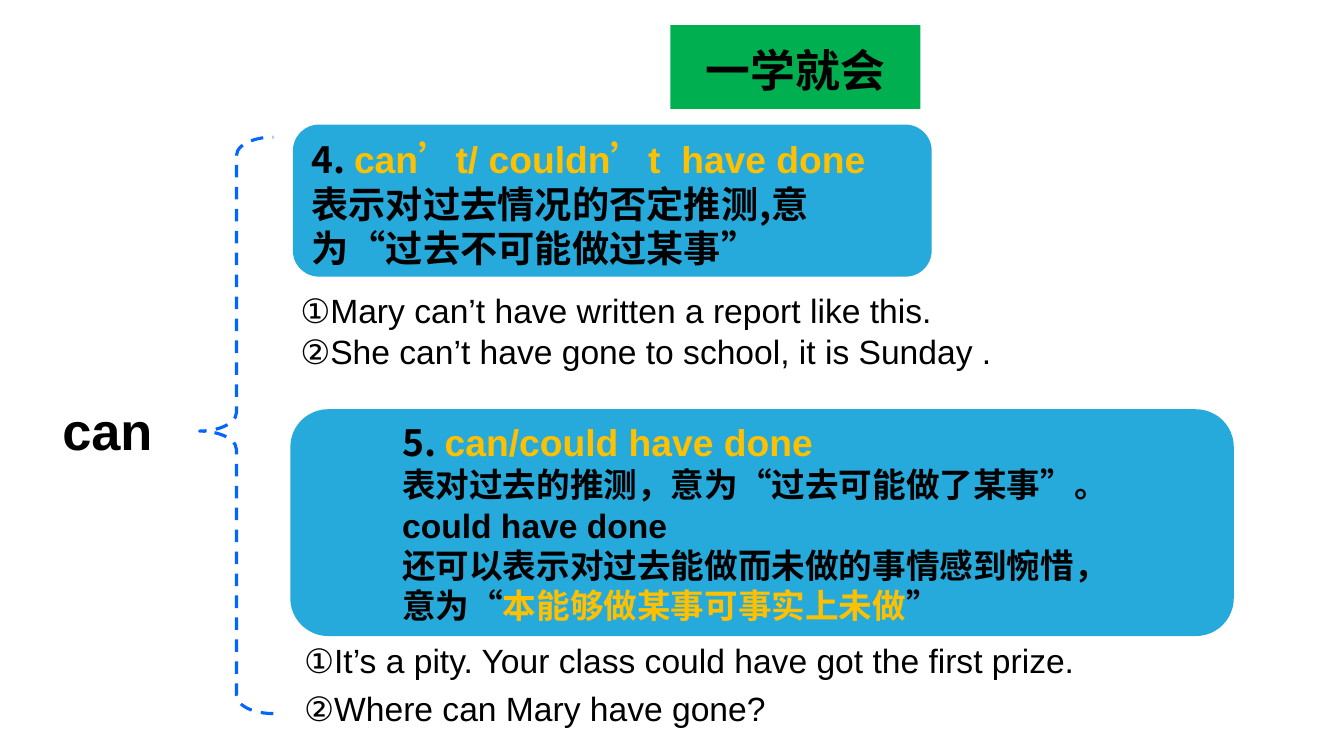
from lxml.etree import SubElement
from pptx import Presentation
from pptx.dml.color import RGBColor
from pptx.enum.dml import MSO_LINE
from pptx.enum.shapes import MSO_SHAPE as SHAPE
from pptx.enum.text import MSO_ANCHOR as ANCHOR, PP_ALIGN as ALIGN
from pptx.oxml.ns import qn
from pptx.util import Pt

BLACK, GOLD, BLUE, GREEN, BRACE = "000000", "FFC000", "26AADB", "00B050", "0066FF"
CJK, LATIN = "Noto Sans CJK SC", "Arial"

# Paragraphs are lists of runs: (text, size, font, colour)
TITLE = [[("一学就会", 32, "Times New Roman", BLACK)]]
WORD = [[("can", 37.4, LATIN, BLACK)]]
RULE_4 = [[
    ("4. ", 26.6, CJK, BLACK),
    ("can’t/ couldn’t  have done ", 26.6, LATIN, GOLD),
    ("表示对过去情况的否定推测,意为“过去不可能做过某事”", 26.6, CJK, BLACK),
]]
RULE_5 = [
    [("5. ", 26.6, CJK, BLACK), ("can/could have done", 26.6, LATIN, GOLD)],
    [("表对过去的推测，意为“过去可能做了某事”。", 24, CJK, BLACK)],
    [("could have done", 24, LATIN, BLACK)],
    [("还可以表示对过去能做而未做的事情感到惋惜，", 24, CJK, BLACK)],
    [("意为“", 24, CJK, BLACK), ("本能够做某事可事实上未做", 24, CJK, GOLD),
     ("”", 24, CJK, BLACK)],
]
EXAMPLES_4 = ["①Mary can’t have written a report like this.",
              "②She can’t have gone to school, it is Sunday ."]
EXAMPLES_5 = ["①It’s a pity. Your class could have got the first prize.",
              "②Where can Mary have gone?"]

# Boxes: left, top, width, height; insets: left, top, right, bottom
TITLE_BOX = (478.8, 18, 178.6, 59.8)
WORD_BOX = (37.4, 262, 90, 90)
BRACE_BOX = (142.6, 97.9, 52.6, 411.8)
RULES = [
    (RULE_4, (210.2, 90, 454.3, 106.6), (7.2, 18.7, 7.2, 15.1), 2),
    (RULE_5, (207.4, 292.3, 673.9, 162), (72, 15.1, 0, 15.1), 0),
]
EXAMPLES = [
    (EXAMPLES_4, (207.4, 203.8, 613.4, 65.5), 1.0),
    (EXAMPLES_5, (210.2, 447.8, 638.6, 77), 1.2),
]
INSETS = (7.2, 3.6, 7.2, 3.6)


def rgb(value):
    return RGBColor.from_string(value)


def write(sp, paragraphs, insets=INSETS, bold=True, align=ALIGN.LEFT,
          anchor=ANCHOR.MIDDLE, spacing=1.0):
    tf = sp.text_frame
    sides = ("left", "top", "right", "bottom")
    frame = {f"margin_{side}": Pt(v) for side, v in zip(sides, insets)}
    frame.update(word_wrap=True, vertical_anchor=anchor)
    for name, value in frame.items():
        setattr(tf, name, value)
    for i, runs in enumerate(paragraphs):
        p = tf.add_paragraph() if i else tf.paragraphs[0]
        p.alignment, p.line_spacing = align, spacing
        for text, size, font, color in runs:
            r = p.add_run()
            r.text = text
            for name, value in dict(size=Pt(size), bold=bold, name=font).items():
                setattr(r.font, name, value)
            r.font.color.rgb = rgb(color)
            SubElement(r.font._element, qn("a:ea"), typeface=CJK)


def add_shape(slide, kind, box, fill=None, line=None, width=0):
    sp = slide.shapes.add_shape(kind, *map(Pt, box))
    sp.shadow.inherit = False
    if fill:
        sp.fill.solid()
        sp.fill.fore_color.rgb = rgb(fill)
    else:
        sp.fill.background()
    if width:
        sp.line.color.rgb = rgb(line)
        sp.line.width = Pt(width)
    else:
        sp.line.fill.background()
    return sp


def add_title(slide):
    sp = slide.shapes.title
    for name, value in zip(("left", "top", "width", "height"), TITLE_BOX):
        setattr(sp, name, Pt(value))
    geometry = SubElement(sp._element.spPr, qn("a:prstGeom"), prst="roundRect")
    SubElement(geometry, qn("a:avLst"))
    sp.fill.solid()
    sp.fill.fore_color.rgb = rgb(GREEN)
    write(sp, TITLE, (7.2, 18.7, 7.2, 15.1), align=ALIGN.CENTER)


def shade_text(r):
    """Give a run a soft grey shadow just below it."""
    effects = r.font._element.makeelement(qn("a:effectLst"), {})
    shadow = SubElement(effects, qn("a:outerShdw"), blurRad="38100",
                        dist="38100", dir="5400000")
    color = SubElement(shadow, qn("a:srgbClr"), val=BLACK)
    SubElement(color, qn("a:alpha"), val="40000")
    r.font._element.find(qn("a:solidFill")).addnext(effects)


def main():
    prs = Presentation()
    prs.slide_width, prs.slide_height = Pt(960), Pt(540)
    slide = prs.slides.add_slide(prs.slide_layouts[5])
    add_title(slide)

    word = slide.shapes.add_textbox(*map(Pt, WORD_BOX))
    write(word, WORD)
    shade_text(word.text_frame.paragraphs[0].runs[0])

    brace = add_shape(slide, SHAPE.LEFT_BRACE, BRACE_BOX, line=BRACE, width=2.25)
    brace.line.dash_style = MSO_LINE.DASH
    brace.adjustments[0], brace.adjustments[1] = 0.25, 0.51

    for paragraphs, box, insets, width in RULES:
        sp = add_shape(slide, SHAPE.ROUNDED_RECTANGLE, box, BLUE, BLUE, width)
        write(sp, paragraphs, insets)

    for lines, box, spacing in EXAMPLES:
        tb = slide.shapes.add_textbox(*map(Pt, box))
        write(tb, [[(line, 24, LATIN, BLACK)] for line in lines],
              bold=False, anchor=ANCHOR.TOP, spacing=spacing)

    prs.save("out.pptx")


if __name__ == "__main__":
    main()
